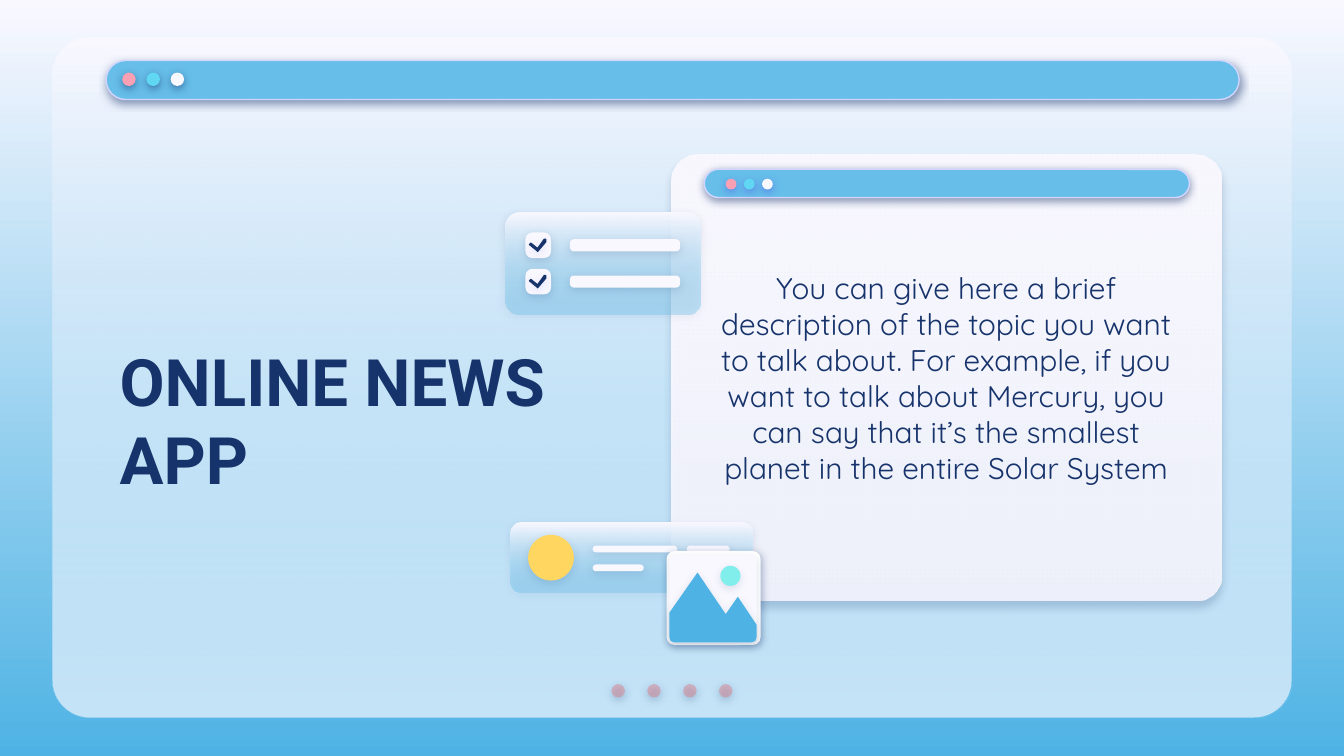
from dataclasses import dataclass

from lxml import etree
from pptx import Presentation
from pptx.dml.color import RGBColor
from pptx.enum.shapes import MSO_SHAPE
from pptx.enum.text import MSO_ANCHOR, PP_ALIGN
from pptx.oxml.ns import qn
from pptx.util import Inches, Pt

ROUND, OVAL = MSO_SHAPE.ROUNDED_RECTANGLE, MSO_SHAPE.OVAL
MIDDLE = MSO_ANCHOR.MIDDLE
LEFT, CENTER = PP_ALIGN.LEFT, PP_ALIGN.CENTER


@dataclass(frozen=True)
class Theme:
    navy: str = "17336B"
    violet: str = "5352EE"
    paper: str = "F9F8FF"
    white: str = "FFFFFF"
    sky: str = "66BEE9"
    deep_sky: str = "4EB3E4"
    lilac: str = "D2D6FF"
    pink: str = "FDA0B4"
    cyan: str = "60D8F4"
    rose: str = "E27B83"
    yellow: str = "FFD65F"
    mint: str = "81EEEB"
    title_font: str = "Roboto"
    body_font: str = "Quicksand"
    title_size: int = 35
    body_size: int = 16


T = Theme()
GLASS = [(T.paper, 100), (T.sky, 35)]
PANEL = [(T.paper, 100), (T.paper, 87)]

# Shadows: colour, opacity in %, distance in points, angle in degrees
STRONG = (T.navy, 50, 1.5, 90)
VIOLET = (T.violet, 50, 1.5, 90)
SOFT = (T.navy, 15, 1.5, 90)
FAINT = (T.navy, 13, 1.5, 90)
CHECK_SHADOW = (T.violet, 15, 1.5, 90)
PANEL_SHADOW = (T.navy, 22, 3.8, 91)
TILE_SHADOW = (T.navy, 33, 1.5, 64)

TITLE = "ONLINE NEWS APP"
BODY = ("You can give here a brief description of the topic you want to talk "
        "about. For example, if you want to talk about Mercury, you can say "
        "that it’s the smallest planet in the entire Solar System")

# Browser bars: box, then first dot left, top, size and step
BARS = [
    ((0.79, 0.45, 8.43, 0.29), (0.91, 0.54, 0.1, 0.18), STRONG),
    ((5.24, 1.26, 3.61, 0.21), (5.4, 1.33, 0.08, 0.27 / 2), VIOLET),
]
CHECK_ROWS = [1.73, 2.0]
CHECK_MARK = [(0.03, 0.09), (0.04, 0.08), (0.09, 0.12), (0.14, 0.05),
              (0.15, 0.05), (0.15, 0.07), (0.09, 0.14), (0.08, 0.13)]
POST_LINES = [(4.41, 4.06, 0.63), (5.11, 4.06, 0.32), (4.41, 4.2, 0.38)]
MOUNTAINS = [(5.19, 4.26), (4.98, 4.56), (4.98, 4.74), (4.99, 4.77),
             (5.02, 4.78), (5.59, 4.78), (5.62, 4.77), (5.63, 4.74),
             (5.63, 4.65), (5.49, 4.44), (5.4, 4.57)]


def set_alpha(color_el, percent):
    etree.SubElement(color_el, qn("a:alpha"), val=str(percent * 1000))


def paint_gradient(fill, colors):
    fill.gradient()
    fill.gradient_angle = 270
    for stop, color in zip(fill.gradient_stops, colors):
        stop.color.rgb = RGBColor.from_string(color)


def style(sp, fill, shadow=None, line=None, alpha=100):
    """Fill is a colour, or a list of (colour, opacity) from top to bottom."""
    if isinstance(fill, str):
        sp.fill.solid()
        sp.fill.fore_color.rgb = RGBColor.from_string(fill)
        alphas = [alpha]
    else:
        paint_gradient(sp.fill, [color for color, _ in fill])
        alphas = [a for _, a in fill]
    for color_el, a in zip(sp._element.spPr.iter(qn("a:srgbClr")), alphas):
        if a < 100:
            set_alpha(color_el, a)
    if line:
        sp.line.color.rgb = RGBColor.from_string(line)
        sp.line.width = Pt(0.75)
    else:
        sp.line.fill.background()
    sp.shadow.inherit = False
    if shadow:
        color, opacity, distance, angle = shadow
        effects = sp._element.spPr.find(qn("a:effectLst"))
        outer = etree.SubElement(
            effects, qn("a:outerShdw"), blurRad=str(Pt(4.5)),
            dist=str(Pt(distance)), dir=str(angle * 60000),
            algn="bl", rotWithShape="0")
        set_alpha(etree.SubElement(outer, qn("a:srgbClr"), val=color), opacity)


def rounded(s, box, radius, fill, shadow=None, line=None):
    sp = s.shapes.add_shape(ROUND, *map(Inches, box))
    sp.adjustments[0] = min(0.5, radius / min(box[2:]))
    style(sp, fill, shadow, line)


def dot(s, x, y, size, fill, shadow, alpha=100):
    sp = s.shapes.add_shape(OVAL, *map(Inches, (x, y, size, size)))
    style(sp, fill, shadow, alpha=alpha)


def outline(s, points, fill, shadow, line=None):
    pts = [(Inches(x), Inches(y)) for x, y in points]
    builder = s.shapes.build_freeform(*pts[0])
    builder.add_line_segments(pts[1:], close=True)
    style(builder.convert_to_shape(), fill, shadow, line)


def browser_bar(s, box, dots, dot_shadow):
    rounded(s, box, box[3] / 2, T.sky, STRONG, T.lilac)
    x, y, size, step = dots
    for i, color in enumerate((T.pink, T.cyan, T.paper)):
        dot(s, x + i * step, y, size, color, dot_shadow)


def write(sp, box, text, font, size, align, bold=False):
    sp.left, sp.top, sp.width, sp.height = map(Inches, box)
    tf = sp.text_frame
    tf.text = text
    tf.word_wrap = True
    tf.vertical_anchor = MIDDLE
    tf.margin_left = tf.margin_right = Inches(0.1)
    tf.margin_top = tf.margin_bottom = Inches(0.1)
    p = tf.paragraphs[0]
    p.alignment = align
    p.font.name, p.font.size, p.font.bold = font, Pt(size), bold
    p.font.color.rgb = RGBColor.from_string(T.navy)


def checklist(s):
    rounded(s, (3.76, 1.58, 1.45, 0.76), 0.1, GLASS, SOFT)
    for y in CHECK_ROWS:
        rounded(s, (4.24, y + 0.05, 0.82, 0.09), 0.03, T.paper, SOFT)
        rounded(s, (3.91, y, 0.19, 0.19), 0.05, T.paper, SOFT)
        mark = [(3.91 + dx, y + dy) for dx, dy in CHECK_MARK]
        outline(s, mark, T.navy, CHECK_SHADOW, T.navy)


def post(s):
    rounded(s, (3.8, 3.89, 1.8, 0.52), 0.08, GLASS, FAINT)
    dot(s, 3.93, 3.98, 0.34, T.yellow, FAINT)
    for x, y, w in POST_LINES:
        rounded(s, (x, y, w, 0.05), 0.03, T.paper, FAINT)


def photo_tile(s):
    rounded(s, (4.96, 4.1, 0.7, 0.7), 0.06, T.white, TILE_SHADOW)
    rounded(s, (4.98, 4.13, 0.65, 0.65), 0.04, T.paper, FAINT)
    outline(s, MOUNTAINS, T.deep_sky, FAINT)
    dot(s, 5.36, 4.21, 0.15, T.mint, FAINT)


def main():
    prs = Presentation()
    prs.slide_width = Inches(10)
    prs.slide_height = prs.slide_width * 9 // 16
    s = prs.slides.add_slide(prs.slide_layouts[5])
    paint_gradient(s.background.fill, (T.paper, T.deep_sky))

    for fill in (T.paper, GLASS):
        rounded(s, (0.39, 0.28, 9.22, 5.06), 0.28, fill)
    for i in range(4):
        dot(s, 4.55 + i * 0.8 / 3, 5.09, 0.1, T.rose, STRONG, alpha=44)
    browser_bar(s, *BARS[0])

    title = s.shapes.title
    write(title, (0.79, 2.34, 3.61, 1.56), TITLE, T.title_font, T.title_size,
          LEFT, bold=True)
    s.shapes._spTree.append(title._element)  # bring above the window

    rounded(s, (5, 1.15, 4.09, 3.32), 0.19, PANEL, PANEL_SHADOW)
    browser_bar(s, *BARS[1])
    body = s.shapes.add_textbox(0, 0, 0, 0)
    write(body, (5.15, 1.58, 3.78, 2.46), BODY, T.body_font, T.body_size, CENTER)
    body.text_frame.paragraphs[0].space_after = Pt(12)

    checklist(s)
    post(s)
    photo_tile(s)
    prs.save("out.pptx")


if __name__ == "__main__":
    main()
